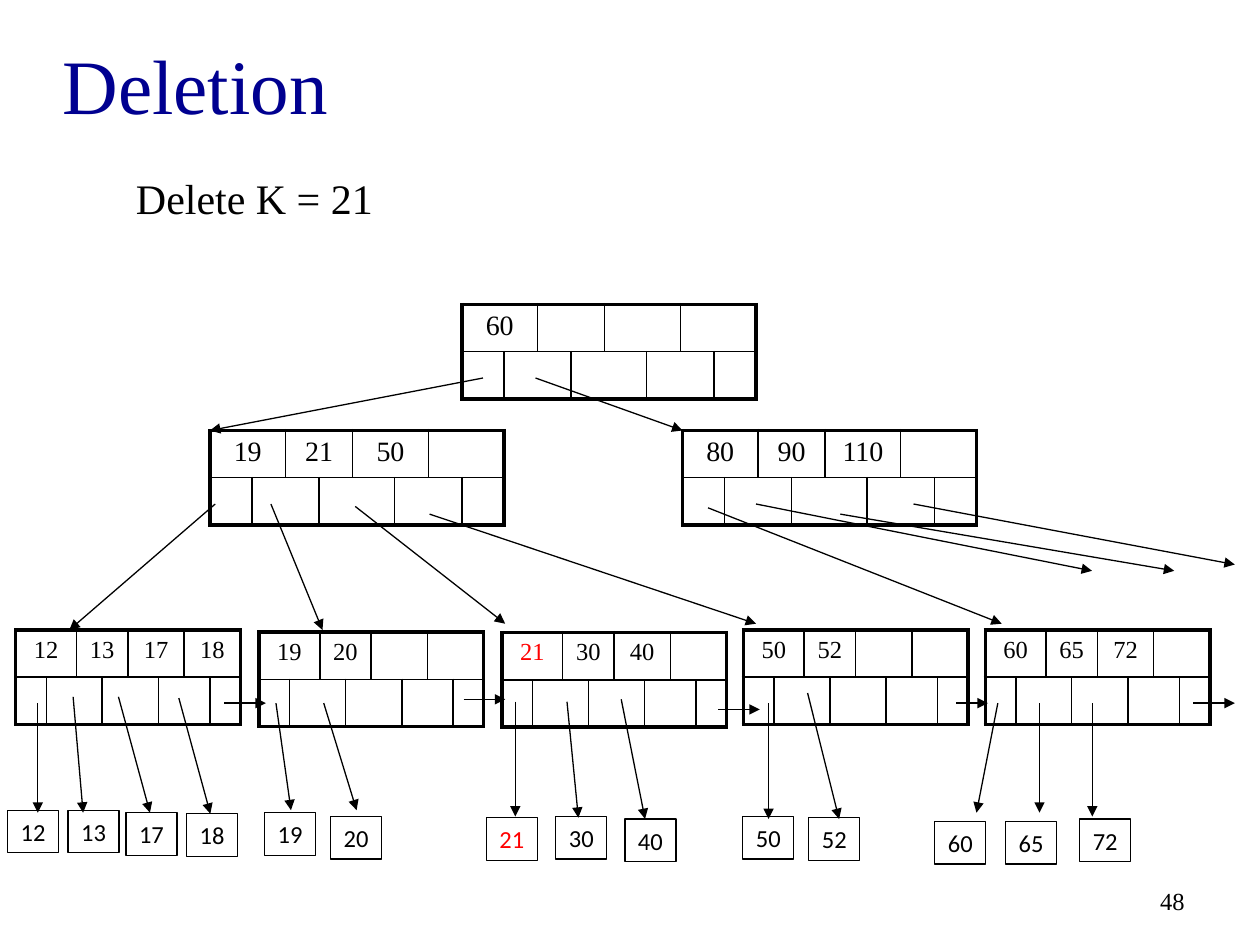
import pptx
import pptx.util
import pptx.dml.color
import pptx.enum.shapes
import pptx.enum.text
import pptx.oxml
import pptx.oxml.ns
from lxml import etree

Pt = pptx.util.Pt
RGBColor = pptx.dml.color.RGBColor
ALIGN = pptx.enum.text.PP_ALIGN
ANCHOR = pptx.enum.text.MSO_ANCHOR
BLACK = RGBColor(0, 0, 0)
RED = RGBColor(255, 0, 0)
NAVY = RGBColor(0, 0, 0x90)
SERIF = "Times New Roman"
NO_STYLE = "{2D5ABB26-0587-4C30-8999-92F81FD0307C}"
DELETED = "21"


def write(tf, text, size=14, font=SERIF, color=BLACK, align=ALIGN.LEFT):
    p = tf.paragraphs[0]
    p.alignment = align
    r = p.add_run()
    r.text = text
    r.font.size = Pt(size)
    r.font.name = font
    r.font.color.rgb = color


def set_borders(cell, **widths):
    tcPr = cell._tc.get_or_add_tcPr()
    for side, width in widths.items():
        tcPr.append(pptx.oxml.parse_xml(
            f'<a:ln{side} {pptx.oxml.ns.nsdecls("a")} w="{Pt(width)}">'
            '<a:solidFill><a:srgbClr val="000000"/></a:solidFill>'
            f'</a:ln{side}>'))


prs = pptx.Presentation()
prs.slide_width, prs.slide_height = Pt(720), Pt(540)
s = prs.slides.add_slide(prs.slide_layouts[6])

labels = [
    ("Deletion", 28.8, 8, 648, 80, 44, NAVY, ALIGN.LEFT, ANCHOR.MIDDLE, True),
    ("Delete K = 21", 70.6, 95, 151, 36, 24, BLACK, ALIGN.LEFT, ANCHOR.TOP, False),
    ("48", 516, 500.4, 168, 28.8, 14, BLACK, ALIGN.RIGHT, ANCHOR.MIDDLE, True),
]
for text, x, y, w, h, size, color, align, anchor, wrap in labels:
    tf = s.shapes.add_textbox(Pt(x), Pt(y), Pt(w), Pt(h)).text_frame
    tf.word_wrap = wrap
    tf.vertical_anchor = anchor
    write(tf, text, size=size, color=color, align=align)

INNER, LEAF = (24, 19.2, 16), (17.5, 14.7, 14)
nodes = [
    (264, 174, INNER, ["60"]),
    (120, 246, INNER, ["19", "21", "50"]),
    (390, 246, INNER, ["80", "90", "110"]),
    (9, 360, LEAF, ["12", "13", "17", "18"]),
    (148, 361.2, LEAF, ["19", "20"]),
    (286.8, 361.5, LEAF, ["21", "30", "40"]),
    (424.8, 360, LEAF, ["50", "52"]),
    (563, 360, LEAF, ["60", "65", "72"]),
]
ROW_SPANS = [[(0, 1), (2, 3), (4, 5), (6, 7)],
             [(0, 0), (1, 2), (3, 4), (5, 6), (7, 7)]]
for x, y, (wide, narrow, size), keys in nodes:
    widths = [wide if c in (0, 4, 7) else narrow for c in range(8)]
    frame = s.shapes.add_table(2, 8, Pt(x), Pt(y), Pt(sum(widths)), Pt(54))
    table = frame.table
    table.first_row = table.horz_banding = False
    table._tbl.tblPr.find(pptx.oxml.ns.qn("a:tableStyleId")).text = NO_STYLE
    for col, width in zip(table.columns, widths):
        col.width = Pt(width)
    for cell in table.iter_cells():
        cell.margin_top = cell.margin_bottom = 0
    for row, spans in enumerate(ROW_SPANS):
        table.rows[row].height = Pt(27)
        for i, (first, last) in enumerate(spans):
            cell = table.cell(row, first)
            if last > first:
                cell.merge(table.cell(row, last))
            set_borders(cell, L=2.25 if first == 0 else 1,
                        R=2.25 if last == 7 else 1,
                        T=2.25 if row == 0 else 1,
                        B=2.25 if row == 1 else 1)
            cell.fill.background()
            if row == 0 and i < len(keys):
                cell.margin_top = cell.margin_bottom = Pt(3.6)
                deleted = keys[i] == DELETED and size == 14
                write(cell.text_frame, keys[i], size=size, align=ALIGN.CENTER,
                      color=RED if deleted else BLACK)

records = [
    ("12", 4.3, 463), ("13", 38.9, 463), ("17", 72, 464.4), ("18", 106.6, 465),
    ("19", 151.2, 464.4), ("20", 188.9, 466.6),
    ("21", 277.9, 467.3), ("30", 317.6, 466.6), ("40", 357.1, 468),
    ("50", 424.5, 466.6), ("52", 462.2, 467.3),
    ("60", 534.2, 469.4), ("65", 574.6, 469.4), ("72", 617, 468),
]
for key, x, y in records:
    sp = s.shapes.add_shape(pptx.enum.shapes.MSO_SHAPE.RECTANGLE,
                            Pt(x), Pt(y), Pt(29.2), Pt(24.3))
    sp.shadow.inherit = False
    sp.fill.background()
    sp.line.color.rgb = BLACK
    sp.line.width = Pt(0.75)
    tf = sp.text_frame
    tf.word_wrap = False
    tf.vertical_anchor = ANCHOR.MIDDLE
    write(tf, key, font="Calibri", align=ALIGN.CENTER,
          color=RED if key == DELETED else BLACK)

root_arrows = [(276, 216, 120, 246), (306, 216, 390, 246)]
branch_arrows = [
    (123, 288, 39.6, 360), (154.8, 288, 184.3, 360),
    (203, 289.4, 288.7, 356.4), (245.5, 293.8, 432, 356.4),
    (404.6, 290.2, 572.4, 356.4), (432, 288, 624, 326.2),
    (480.2, 293.8, 671, 326.2), (522, 288, 705.6, 322.6),
]
sibling_arrows = [
    (128.2, 401.8, 151.9, 401.8), (265, 399.6, 288.7, 399.6),
    (410.4, 405.4, 434.2, 405.4), (546.5, 401.8, 564.5, 401.8),
    (681.8, 401.8, 705.6, 401.8),
]
record_arrows = [
    (21.6, 401.8, 21.6, 464.4), (41.8, 398.2, 47.5, 464.4),
    (67.7, 398.2, 85.7, 464.4), (102.2, 398.9, 120.2, 465),
    (157.7, 401.8, 166.3, 463), (185, 401.8, 203.8, 463),
    (294.5, 401, 294.5, 466.6), (324, 401, 330.5, 467.3),
    (355, 399.6, 368.6, 468), (439.2, 401.8, 439.2, 468),
    (461.5, 396, 479.5, 468), (570.2, 401.8, 558, 464.4),
    (594, 401.8, 594, 464.4), (624.2, 401.8, 624.2, 466.6),
]
for x1, y1, x2, y2 in root_arrows + branch_arrows + sibling_arrows + record_arrows:
    arrow = s.shapes.add_connector(pptx.enum.shapes.MSO_CONNECTOR.STRAIGHT,
                                   Pt(x1), Pt(y1), Pt(x2), Pt(y2))
    arrow.line.color.rgb = BLACK
    arrow.line.width = Pt(0.75)
    etree.SubElement(arrow.line._get_or_add_ln(),
                     pptx.oxml.ns.qn("a:tailEnd"), type="triangle")
    etree.SubElement(arrow._element.spPr, pptx.oxml.ns.qn("a:effectLst"))

prs.save("out.pptx")
